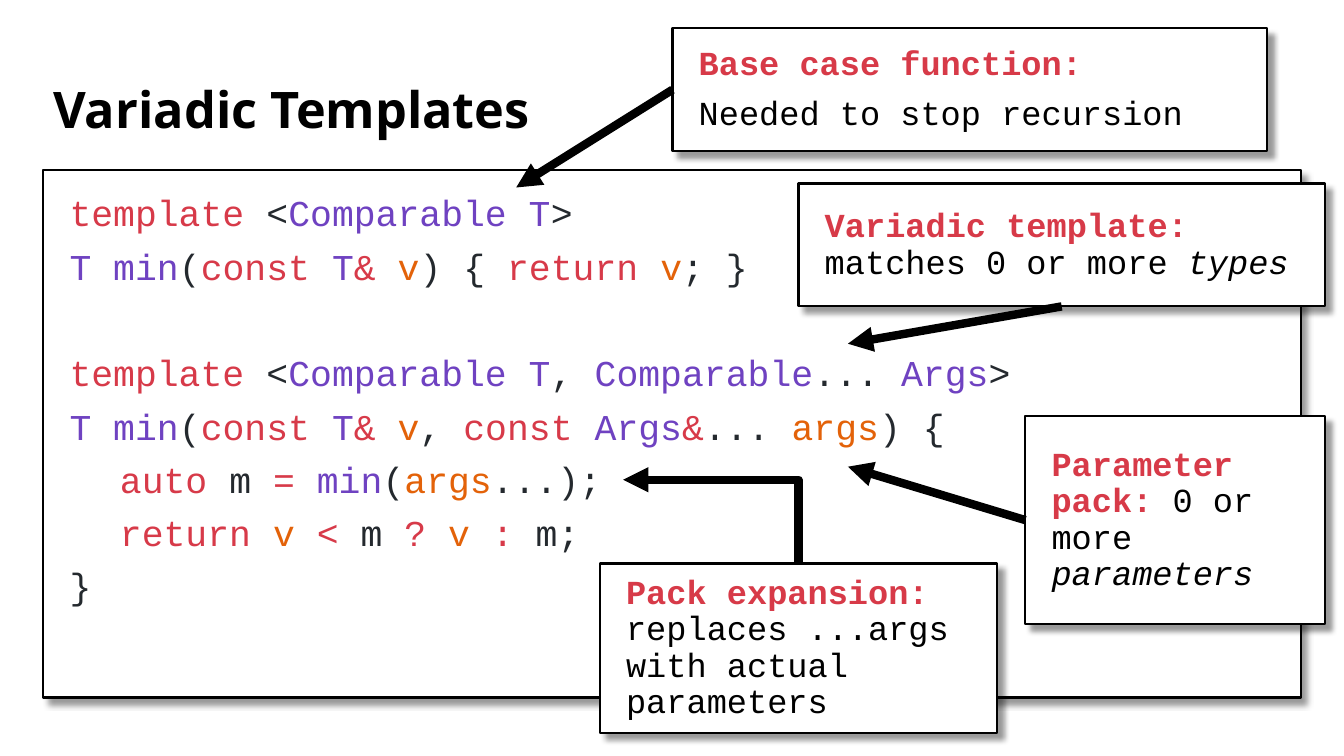
from lxml.etree import SubElement
from pptx import Presentation
from pptx.dml.color import RGBColor
from pptx.enum.shapes import MSO_CONNECTOR as Connector, MSO_SHAPE as Shape
from pptx.enum.text import MSO_ANCHOR as Anchor, PP_ALIGN as Align
from pptx.oxml.ns import qn
from pptx.util import Emu, Inches, Pt

COLORS = {
    "black": "000000", "white": "FFFFFF", "label": "D73A48",
    "keyword": "D73A49", "type": "6F42C1", "name": "E36209", "plain": "24292E",
}
CODE_FONT, TITLE_FONT = "Courier New", "Open Sans"

TITLE = "Variadic Templates"
TITLE_BOX = (0.43, 0.69, 12.47, 0.84)
CODE_BOX = (0.43, 1.69, 12.47, 5.23)

# Each code line: left indent, space before in points, coloured runs
CODE = [
    (0.01, 0, [("template", "keyword"), (" <", "plain"), ("Comparable T", "type"),
               (">", "plain")]),
    (0.01, 10, [("T min", "type"), ("(", "plain"), ("const ", "keyword"), ("T", "type"),
                ("& ", "keyword"), ("v", "name"), (") { ", "plain"),
                ("return ", "keyword"), ("v", "name"), ("; }", "plain")]),
    (0.01, 48, [("template", "keyword"), (" <", "plain"), ("Comparable T", "type"),
                (", ", "plain"), ("Comparable", "type"), ("... ", "plain"),
                ("Args", "type"), (">", "plain")]),
    (0.01, 10, [("T min", "type"), ("(", "plain"), ("const ", "keyword"), ("T", "type"),
                ("& ", "keyword"), ("v", "name"), (", ", "plain"), ("const ", "keyword"),
                ("Args", "type"), ("&", "keyword"), ("... ", "plain"),
                ("args", "name"), (") {", "plain")]),
    (0.51, 10, [("auto", "keyword"), (" m ", "plain"), ("= ", "keyword"), ("min", "type"),
                ("(", "plain"), ("args", "name"), ("...);", "plain")]),
    (0.51, 10, [("return ", "keyword"), ("v ", "name"), ("<", "keyword"), (" m ", "plain"),
                ("? ", "keyword"), ("v ", "name"), (":", "keyword"), (" m;", "plain")]),
    (0.01, 10, [("}", "plain")]),
]

# Each callout: box, paragraphs of styled runs, side the arrow leaves, arrow tip
CALLOUTS = [
    ((7.92, 1.82, 5.22, 1.22),
     [[("Variadic template: ", "label"), ("matches 0 or more ", "black"),
       ("types", "italic")]], "bottom", (8.41, 3.41)),
    ((10.17, 4.13, 2.97, 2.06),
     [[("Parameter pack: ", "label"), ("0 or more ", "black"),
       ("parameters", "italic")]], "left", (8.41, 4.63)),
    ((5.95, 5.59, 3.94, 1.68),
     [[("Pack expansion: ", "label"),
       ("replaces ...args with actual parameters", "black")]], "top", (6.18, 4.76)),
    ((6.67, 0.28, 5.9, 1.22),
     [[("Base case function:", "label")], [("Needed to stop recursion", "black")]],
     "left", (5.12, 1.86)),
]


def color(name):
    return RGBColor.from_string(COLORS[name])


def add_panel(slide, box, anchor):
    """White outlined rectangle with a soft shadow; returns its text frame."""
    panel = slide.shapes.add_shape(Shape.RECTANGLE, *map(Inches, box))
    panel.fill.solid()
    panel.fill.fore_color.rgb = color("white")
    panel.line.color.rgb = color("black")
    panel.line.width = Pt(1.5)
    panel.shadow.inherit = False
    effects = panel._element.spPr.find(qn("a:effectLst"))
    shadow = SubElement(effects, qn("a:outerShdw"), blurRad=str(Pt(4)), dist=str(Pt(6)),
                        dir="2700000", algn="tl", rotWithShape="0")
    tint = SubElement(shadow, qn("a:srgbClr"), val=COLORS["black"])
    SubElement(tint, qn("a:alpha"), val="40000")
    frame = panel.text_frame
    frame.word_wrap = True
    frame.vertical_anchor = anchor
    frame.margin_left = frame.margin_right = Inches(0.25)
    frame.margin_top = frame.margin_bottom = Inches(0.25)
    return frame


def add_paragraph(frame, index, runs, size, indent=0.01, before=0):
    paragraph = frame.add_paragraph() if index else frame.paragraphs[0]
    paragraph._p.get_or_add_pPr().set("marL", str(Inches(indent)))
    paragraph.alignment = Align.LEFT
    paragraph.line_spacing = 0.9
    paragraph.space_before = Pt(before)
    paragraph.font.name = CODE_FONT
    paragraph.font.size = Pt(size)
    for text, style in runs:
        run = paragraph.add_run()
        run.text = text
        run.font.bold = style == "label"
        run.font.italic = style == "italic"
        run.font.color.rgb = color("black" if style == "italic" else style)


def add_arrow(slide, start, tip, bent):
    (x1, y1), (x2, y2) = start, tip
    kind = Connector.STRAIGHT
    if bent:  # up, then left: the frame is turned a quarter about its centre
        kind = Connector.ELBOW
        center_x, center_y = (x1 + x2) / 2, (y1 + y2) / 2
        half_w, half_h = (y1 - y2) / 2, (x1 - x2) / 2
        x1, x2 = center_x - half_w, center_x + half_w
        y1, y2 = center_y + half_h, center_y - half_h
    arrow = slide.shapes.add_connector(kind, *map(Inches, (x1, y1, x2, y2)))
    properties = arrow._element.spPr
    if bent:
        properties.find(qn("a:xfrm")).set("rot", "16200000")
        properties.find(qn("a:prstGeom")).set("prst", "bentConnector2")
    arrow.line.color.rgb = color("black")
    arrow.line.width = Pt(6)
    SubElement(properties.find(qn("a:ln")), qn("a:tailEnd"), type="triangle")
    SubElement(properties, qn("a:effectLst"))


def main():
    presentation = Presentation()
    presentation.slide_width = Inches(13.33)
    presentation.slide_height = Inches(7.5)
    slide = presentation.slides.add_slide(presentation.slide_layouts[6])

    # Title
    frame = slide.shapes.add_textbox(*map(Inches, TITLE_BOX)).text_frame
    frame.word_wrap = True
    frame.vertical_anchor = Anchor.MIDDLE
    paragraph = frame.paragraphs[0]
    paragraph.text = TITLE
    paragraph.line_spacing = 0.9
    paragraph.font.name = TITLE_FONT
    paragraph.font.size = Pt(36)
    paragraph.font.bold = True
    paragraph.font.color.rgb = color("black")

    # Code panel
    frame = add_panel(slide, CODE_BOX, Anchor.TOP)
    for index, (indent, before, runs) in enumerate(CODE):
        add_paragraph(frame, index, runs, 26, indent, before)

    # Callouts with their arrows
    for box, paragraphs, side, tip in CALLOUTS:
        frame = add_panel(slide, box, Anchor.MIDDLE)
        for index, runs in enumerate(paragraphs):
            add_paragraph(frame, index, runs, 24, before=10 if index else 0)
        left, top, width, height = box
        start = {
            "top": (left + width / 2, top),
            "bottom": (left + width / 2, top + height),
            "left": (left, top + height / 2),
        }[side]
        add_arrow(slide, start, tip, bent=side == "top")

    presentation.save("out.pptx")


if __name__ == "__main__":
    main()
